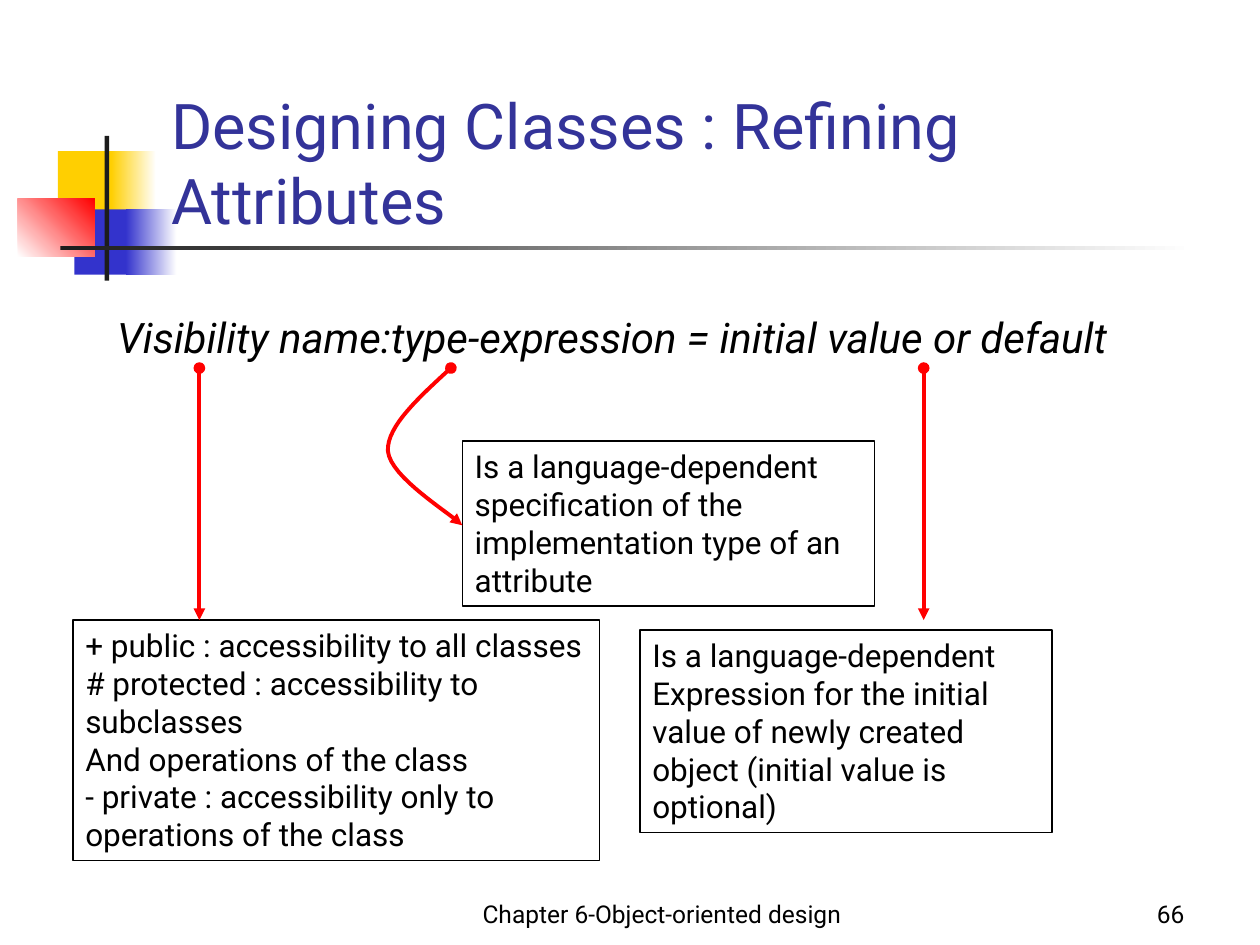
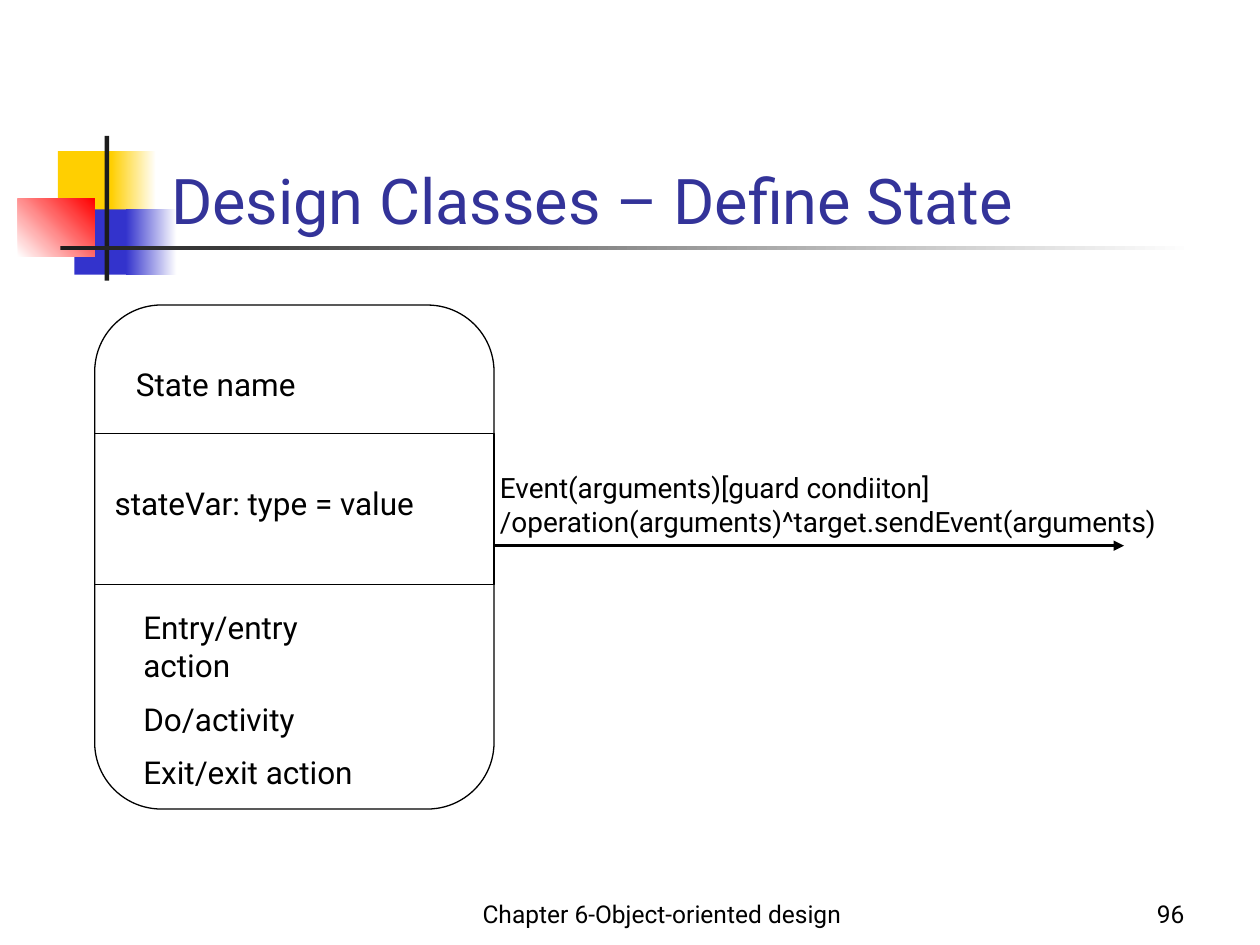
from dataclasses import dataclass

from lxml.etree import SubElement
from pptx import Presentation
from pptx.dml.color import RGBColor
from pptx.enum.shapes import MSO_CONNECTOR, MSO_SHAPE as Preset
from pptx.enum.text import MSO_ANCHOR as Anchor, PP_ALIGN as Align
from pptx.oxml.ns import qn
from pptx.util import Cm, Pt


@dataclass(frozen=True)
class Theme:
    font: str = "Roboto"
    title: str = "333399"
    text: str = "000000"
    bar: str = "1C1C1C"
    yellow: str = "FFCF01"
    blue: str = "3333CC"
    red: str = "FF0000"
    white: str = "FFFFFF"
    title_size: int = 36
    syntax_size: int = 24
    body_size: int = 18
    event_size: int = 16
    footer_size: int = 14
    outline: float = 0.75


THEME = Theme()

# Places are left, top, width, height in centimetres.
FOOTER = "Chapter 6-Object-oriented design"
FOOTER_AT = (9.32, 17.58, 8.05, 1.27)
NUMBER_AT = (18.85, 17.58, 5.28, 1.27)
TITLE_AT = (3.2, 1.73, 21.64, 3.18)

# Place, colours (one is solid, two are a gradient), gradient angle
ORNAMENTS = [
    ((1.17, 3.05, 1.22, 1.32), [THEME.yellow], 0),
    ((2.24, 3.05, 0.91, 1.32), [THEME.yellow, THEME.white], 0),
    ((1.5, 4.22, 1.17, 1.32), [THEME.blue], 0),
    ((2.54, 4.22, 1.02, 1.32), [THEME.blue, THEME.white], 0),
    ((0.36, 4.01, 1.55, 1.17), [THEME.white, THEME.red], 45),
    ((2.11, 2.74, 0.09, 2.92), [THEME.bar], 0),
    ((1.22, 4.95, 22.86, 0.09), [THEME.bar, THEME.white], 0),
]

SYNTAX = "Visibility name:type-expression = initial value or default"
SYNTAX_AT = (2.11, 6.15, 21.31, 1.27)
POINTER_TOP, POINTER_END = 7.42, 12.5
POINTER_COLUMNS = [4.02, 18.62]
TYPE_CURVE = [
    [(9.09, 7.42), (8.46, 8.0), (7.8, 8.59), (7.82, 9.09)],
    [(7.82, 9.09), (7.87, 9.63), (9.07, 10.34), (9.32, 10.59)],
]
EXPLANATIONS = [
    ((1.47, 12.5, 10.62, 4.85), [
        "+ public : accessibility to all classes",
        "# protected : accessibility to subclasses",
        "And operations of the class",
        "- private : accessibility only to operations of the class",
    ]),
    ((9.32, 8.89, 8.31, 3.33), [
        "Is a language-dependent",
        "specification of the",
        "implementation type of an attribute",
    ]),
    ((12.9, 12.7, 8.31, 4.09), [
        "Is a language-dependent",
        "Expression for the initial value of newly created object "
        "(initial value is optional)",
    ]),
]

STATE_AT = (1.91, 6.15, 8.05, 10.16)
VARIABLES_AT = (1.91, 8.74, 8.05, 3.05)
STATE_TEXTS = [
    ((2.49, 7.24, 4.09, 1.02), ["State name"]),
    ((2.06, 9.63, 7.59, 1.02), ["stateVar: type = value"]),
    ((2.64, 12.14, 5.26, 4.06),
     ["Entry/entry action", "Do/activity", "Exit/exit action"]),
]
EVENT = ["Event(arguments)[guard condiiton]",
         "/operation(arguments)^target.sendEvent(arguments)"]
EVENT_AT = (9.83, 9.37, 13.89, 1.63)
TRANSITION = [(9.96, 11), (22.66, 11)]


def cm(values):
    return [Cm(value) for value in values]


def color(code):
    return RGBColor.from_string(code)


def write(box, lines, size=THEME.body_size, ink=THEME.text, italic=False,
          align=Align.LEFT, anchor=Anchor.TOP, wrap=True, gap=0):
    """Fill a box with one paragraph per line; gap is points between them."""
    frame = box.text_frame
    frame.word_wrap = wrap
    frame.vertical_anchor = anchor
    for index, line in enumerate(lines):
        para = frame.add_paragraph() if index else frame.paragraphs[0]
        para.alignment = align
        if index and gap:
            para.space_before = Pt(gap)
        span = para.add_run()
        span.text = line
        span.font.name = THEME.font
        span.font.size = Pt(size)
        span.font.italic = italic
        span.font.color.rgb = color(ink)


def add_text(shapes, place, lines, **style):
    write(shapes.add_textbox(*cm(place)), lines, **style)


def add_outline(shapes, preset, place):
    shape = shapes.add_shape(preset, *cm(place))
    shape.shadow.inherit = False
    shape.fill.background()
    shape.line.color.rgb = color(THEME.text)
    shape.line.width = Pt(THEME.outline)
    return shape


def add_ornament(page, place, colors, angle):
    shape = page.shapes.add_shape(Preset.RECTANGLE, *cm(place))
    shape.shadow.inherit = False
    shape.line.fill.background()
    if len(colors) == 1:
        shape.fill.solid()
        shape.fill.fore_color.rgb = color(colors[0])
        return
    shape.fill.gradient()
    shape.fill.gradient_angle = angle
    for stop, code in zip(shape.fill.gradient_stops, colors):
        stop.color.rgb = color(code)


def style_arrow(arrow, ink, width, head=None):
    """Colour a line, put a triangle at its end and drop its shadow."""
    arrow.line.color.rgb = color(ink)
    arrow.line.width = Pt(width)
    properties = arrow._element.spPr
    outline = properties.find(qn("a:ln"))
    if head:
        SubElement(outline, qn("a:headEnd"), type=head)
    SubElement(outline, qn("a:tailEnd"), type="triangle")
    SubElement(properties, qn("a:effectLst"))


def add_arrow(page, start, end, **style):
    arrow = page.shapes.add_connector(
        MSO_CONNECTOR.STRAIGHT, *cm(start), *cm(end))
    style_arrow(arrow, **style)


def bezier(corners, t):
    weights = ((1 - t) ** 3, 3 * t * (1 - t) ** 2, 3 * t * t * (1 - t), t ** 3)
    return [sum(w * value for w, value in zip(weights, axis))
            for axis in zip(*corners)]


def add_curve(page, pieces, steps=16, **style):
    points = [cm(bezier(piece, step / steps))
              for piece in pieces for step in range(1, steps + 1)]
    builder = page.shapes.build_freeform(*cm(pieces[0][0]))
    builder.add_line_segments(points, close=False)
    curve = builder.convert_to_shape()
    curve.fill.background()
    style_arrow(curve, **style)


def add_page(deck, title, number):
    """Add a slide with the ornaments, title and footer all slides share."""
    page = deck.slides.add_slide(deck.slide_layouts[6])
    for ornament in ORNAMENTS:
        add_ornament(page, *ornament)
    footer = dict(size=THEME.footer_size, anchor=Anchor.BOTTOM)
    add_text(page.shapes, FOOTER_AT, [FOOTER], align=Align.CENTER, **footer)
    add_text(page.shapes, NUMBER_AT, [number], align=Align.RIGHT, **footer)
    add_text(page.shapes, TITLE_AT, [title], size=THEME.title_size,
             ink=THEME.title, anchor=Anchor.BOTTOM)
    return page


def add_attributes_page(deck):
    page = add_page(deck, "Designing Classes : Refining Attributes", "66")
    add_text(page.shapes, SYNTAX_AT, [SYNTAX], size=THEME.syntax_size,
             italic=True, wrap=False)
    for place, lines in EXPLANATIONS:
        write(add_outline(page.shapes, Preset.RECTANGLE, place), lines)
    pointer = dict(ink=THEME.red, width=2.25, head="oval")
    for x in POINTER_COLUMNS:
        add_arrow(page, (x, POINTER_TOP), (x, POINTER_END), **pointer)
    add_curve(page, TYPE_CURVE, **pointer)


def add_state_page(deck):
    page = add_page(deck, "Design Classes – Define State", "96")
    state = page.shapes.add_group_shape().shapes
    add_outline(state, Preset.FLOWCHART_ALTERNATE_PROCESS, STATE_AT)
    add_outline(state, Preset.RECTANGLE, VARIABLES_AT)
    for place, lines in STATE_TEXTS:
        add_text(state, place, lines, gap=THEME.body_size / 2)
    add_arrow(page, *TRANSITION, ink=THEME.text, width=1.5)
    add_text(page.shapes, EVENT_AT, EVENT, size=THEME.event_size, wrap=False)


def main():
    deck = Presentation()
    deck.slide_width, deck.slide_height = Cm(25.4), Cm(19.05)
    add_attributes_page(deck)
    add_state_page(deck)
    deck.save("out.pptx")


if __name__ == "__main__":
    main()
